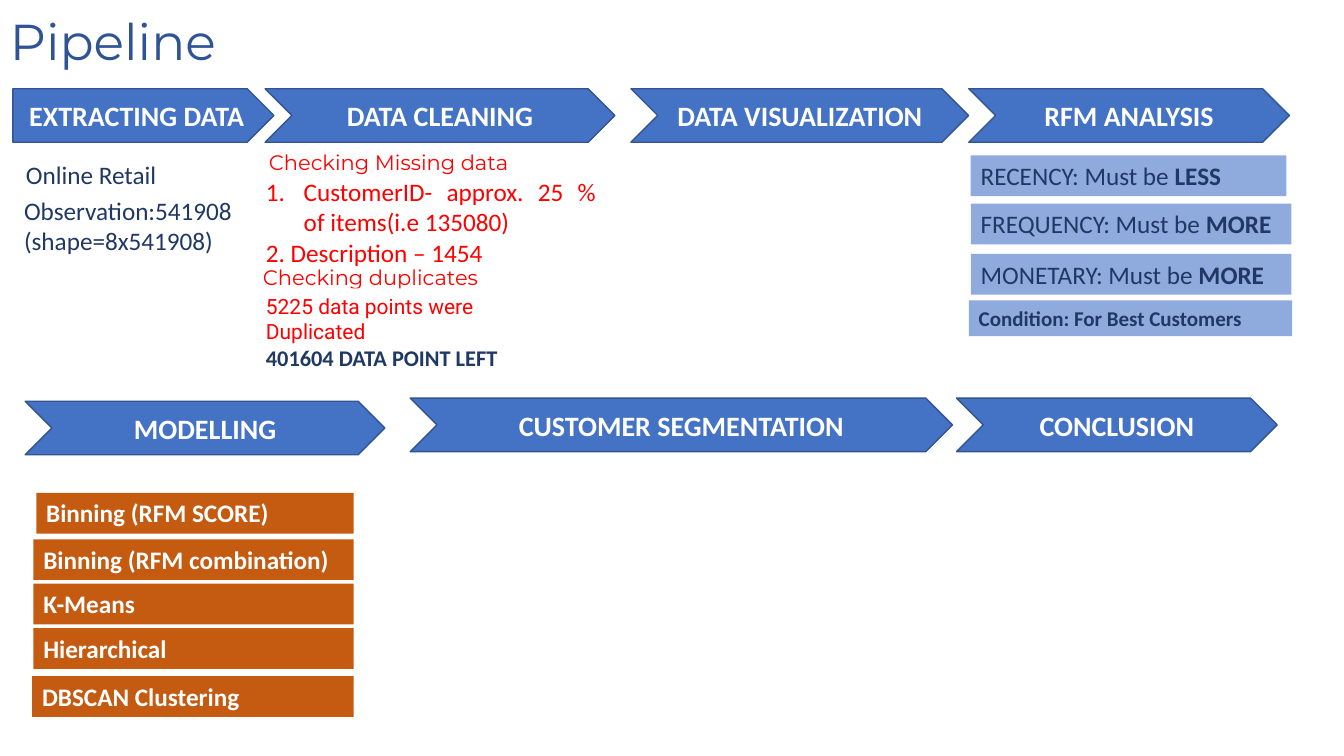
from lxml import etree
from pptx import Presentation
from pptx import util as u
from pptx.dml.color import RGBColor
from pptx.enum import shapes, text
from pptx.oxml.ns import qn

WHITE = RGBColor(0xFF, 0xFF, 0xFF)
BLUE = RGBColor(0x44, 0x72, 0xC4)
OUTLINE = RGBColor(0x32, 0x54, 0x91)
TITLE = RGBColor(0x2F, 0x54, 0x96)
NAVY = RGBColor(0x20, 0x38, 0x64)
RED = RGBColor(0xFF, 0x00, 0x00)
LIGHT_BLUE = RGBColor(0x8F, 0xAA, 0xDC)
ORANGE = RGBColor(0xC5, 0x5A, 0x11)

PLATE = shapes.MSO_SHAPE.PENTAGON
CHEVRON = shapes.MSO_SHAPE.CHEVRON
RECT = shapes.MSO_SHAPE.RECTANGLE
TOP, MIDDLE, BOTTOM = (text.MSO_ANCHOR.TOP, text.MSO_ANCHOR.MIDDLE,
                       text.MSO_ANCHOR.BOTTOM)
LEFT, CENTER, JUSTIFY = (text.PP_ALIGN.LEFT, text.PP_ALIGN.CENTER,
                         text.PP_ALIGN.JUSTIFY)


def add_run(p, words, size=18, color=NAVY, font="Calibri", bold=False):
    r = p.add_run()
    r.text = words
    r.font.size = u.Pt(size)
    r.font.name = font
    r.font.bold = bold
    r.font.color.rgb = color


def write(tf, lines, anchor=TOP, align=LEFT, spacing=None, **fmt):
    """Fill a text frame with one paragraph per line, all in one format."""
    tf.word_wrap = True
    tf.vertical_anchor = anchor
    for i, line in enumerate(lines):
        p = tf.add_paragraph() if i else tf.paragraphs[0]
        p.alignment = align
        if spacing:
            p.line_spacing = spacing
        add_run(p, line, **fmt)
    return tf


def number(p, indent):
    """Give a paragraph an automatic number with a hanging indent."""
    pPr = p._p.get_or_add_pPr()
    pPr.set("marL", str(u.Pt(indent)))
    pPr.set("indent", str(-u.Pt(indent)))
    etree.SubElement(pPr, qn("a:buAutoNum"), type="arabicPeriod")


def add_label(s, box, *lines, **fmt):
    sp = s.shapes.add_textbox(*map(u.Pt, box))
    return write(sp.text_frame, lines, **fmt)


def add_block(s, kind, box, fill, *lines, line=None, **fmt):
    sp = s.shapes.add_shape(kind, *map(u.Pt, box))
    sp.shadow.inherit = False
    sp.fill.solid()
    sp.fill.fore_color.rgb = fill
    if line:
        sp.line.color.rgb = line
        sp.line.width = u.Pt(1)
    else:
        sp.line.fill.background()
    return write(sp.text_frame, lines, **fmt)


def add_stage(s, kind, x, y, w, name):
    add_block(s, kind, (x, y, w, 38.2), BLUE, name, line=OUTLINE,
              anchor=MIDDLE, align=CENTER, size=20, color=WHITE, bold=True)


def add_cleaning_notes(s):
    heading = dict(anchor=BOTTOM, spacing=0.9, size=15, color=RED,
                   font="Montserrat")
    tf = add_label(s, (182.9, 122.4, 249.8, 72.7),
                   "CustomerID- approx. 25 % of items(i.e 135080)",
                   "2. Description – 1454", align=JUSTIFY, color=RED)
    number(tf.paragraphs[0], 27)
    add_block(s, RECT, (185, 103, 225.4, 25.9), WHITE,
              "Checking Missing data", **heading)
    add_label(s, (180.7, 182.9, 189.4, 28.1), "Checking duplicates", **heading)
    tf = add_block(s, RECT, (182.9, 205.9, 256.3, 63.4), WHITE,
                   "5225 data points were", "Duplicated",
                   size=15, color=RED, font="Roboto")
    add_run(tf.add_paragraph(), "401604 DATA POINT LEFT", size=16, bold=True)


def main():
    prs = Presentation()
    prs.slide_width, prs.slide_height = u.Pt(960), u.Pt(540)
    s = prs.slides.add_slide(prs.slide_layouts[6])

    add_label(s, (0, 0, 175, 54.7), "Pipeline", anchor=BOTTOM, spacing=0.9,
              size=36, color=TITLE, font="Montserrat")

    for kind, x, y, w, name in (
            (PLATE, 9.2, 63.4, 186.5, "EXTRACTING DATA"),
            (CHEVRON, 189.4, 63.4, 249.8, "DATA CLEANING"),
            (CHEVRON, 450.7, 63.4, 241.2, "DATA VISUALIZATION"),
            (CHEVRON, 692, 63.4, 229, "RFM ANALYSIS"),
            (CHEVRON, 18, 286.6, 257, "MODELLING"),
            (CHEVRON, 293, 284.4, 387.4, "CUSTOMER SEGMENTATION"),
            (CHEVRON, 683.3, 284.4, 229, "CONCLUSION")):
        add_stage(s, kind, x, y, w, name)

    add_label(s, (11.5, 110.2, 153.4, 29.1), "Online Retail")
    add_label(s, (10.1, 136.1, 175, 50.9), "Observation:541908 (shape=8x541908)")
    add_cleaning_notes(s)

    for y, w, measure, goal in ((111, 225.4, "RECENCY", "LESS"),
                                (145.4, 229, "FREQUENCY", "MORE"),
                                (181.4, 229, "MONETARY", "MORE")):
        tf = add_block(s, RECT, (693.4, y, w, 29.1), LIGHT_BLUE,
                       f"{measure}: Must be ")
        add_run(tf.paragraphs[0], goal, bold=True)
    add_block(s, RECT, (692, 214.6, 231, 25.5), LIGHT_BLUE,
              "Condition: For Best Customers", size=15, bold=True)

    models_right = 252.7
    for x, y, model in ((25.9, 352, "Binning (RFM SCORE)"),
                        (23.8, 385.2, "Binning (RFM combination)"),
                        (23.8, 416.9, "K-Means"),
                        (23.8, 448.6, "Hierarchical"),
                        (23, 483, "DBSCAN Clustering")):
        add_block(s, RECT, (x, y, models_right - x, 29.1), ORANGE, model,
                  color=WHITE, bold=True)

    prs.save("out.pptx")


if __name__ == "__main__":
    main()
